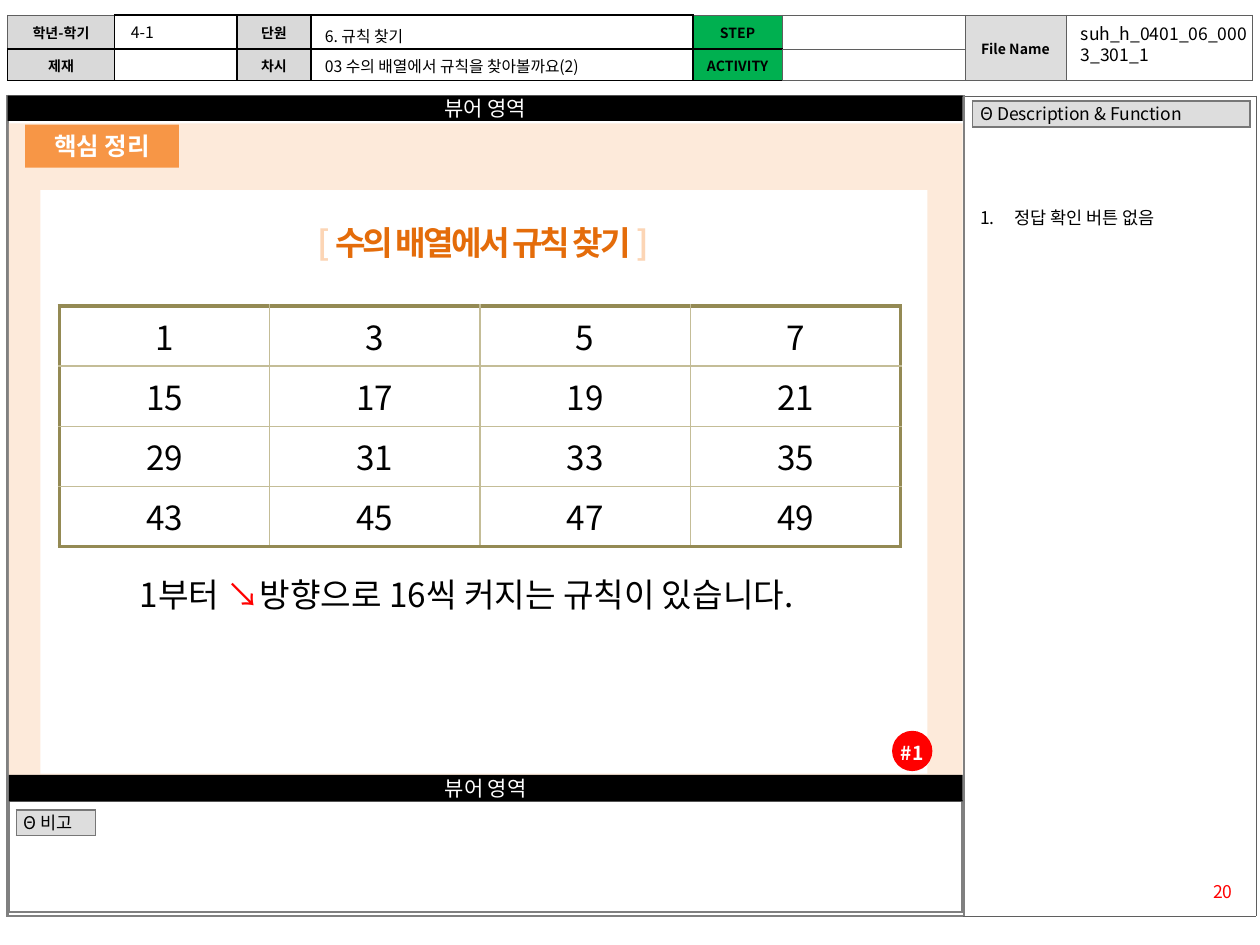
from dataclasses import dataclass
from typing import Callable, NamedTuple, Optional

from lxml.etree import SubElement
from pptx import Presentation
from pptx.dml.color import RGBColor
from pptx.enum.shapes import MSO_SHAPE as Preset
from pptx.enum.text import MSO_ANCHOR as Anchor, MSO_AUTO_SIZE as AutoSize, PP_ALIGN as Align
from pptx.oxml.ns import qn
from pptx.util import Inches, Pt

FONT = "Noto Sans CJK KR"
BLACK, WHITE, RED = "000000", "FFFFFF", "FF0000"
LABEL, PANEL, GREEN = "D9D9D9", "DDDDDD", "00B050"

# The slide is a grid of 100 columns by 75 rows
deck = Presentation()
deck.slide_width, deck.slide_height = Inches(10), Inches(7.5)
UNIT = deck.slide_width / 100


class Box(NamedTuple):
    col: float
    row: float
    cols: float
    rows: float

    def lengths(self) -> list[int]:
        return [span(value) for value in self]


class Edge(NamedTuple):
    color: str
    width: float


class Style(NamedTuple):
    size: float
    color: str = BLACK
    bold: bool = False
    align: Align = Align.LEFT
    line_spacing: Optional[float] = None
    tracking: float = 0


class Part(NamedTuple):
    text: str
    color: Optional[str] = None


@dataclass
class Grid:
    box: Box
    widths: list[float]
    heights: list[float]
    edges: Callable[[int, int], list[Edge]]  # left, right, top, bottom
    style: Style = Style(8)
    texts: tuple = ()
    fills: Callable[[int, int], Optional[str]] = lambda row, col: None
    margins: tuple = (1, 0.3)
    merges: tuple = ()


def span(units: float) -> int:
    return round(units * UNIT)


def rgb(color: str) -> RGBColor:
    return RGBColor.from_string(color)


def write(paragraph, parts: list[Part], style: Style) -> None:
    paragraph.alignment = style.align
    if style.line_spacing:
        paragraph.line_spacing = style.line_spacing
    font = paragraph.font
    font.size, font.bold, font.name = Pt(style.size), style.bold, FONT
    font.color.rgb = rgb(style.color)
    defaults = paragraph._p.pPr.find(qn("a:defRPr"))
    SubElement(defaults, qn("a:ea"), typeface=FONT)
    if style.tracking:
        defaults.set("spc", str(round(style.tracking * 100)))
    for part in parts:
        run = paragraph.add_run()
        run.text = part.text
        if part.color:
            run.font.color.rgb = rgb(part.color)


def add_text(box: Box, parts: list[Part], style: Style, number_indent: float = 0) -> None:
    frame = slide.shapes.add_textbox(*box.lengths()).text_frame
    frame.word_wrap = True
    paragraph = frame.paragraphs[0]
    if number_indent:
        properties = paragraph._p.get_or_add_pPr()
        properties.set("marL", str(span(number_indent)))
        properties.set("indent", str(-span(number_indent)))
        SubElement(properties, qn("a:buFont"), typeface=FONT)
        SubElement(properties, qn("a:buAutoNum"), type="arabicPeriod")
    write(paragraph, parts, style)


def add_block(box: Box, fill: str, text: str = "", style: Style = Style(12),
              preset: Preset = Preset.RECTANGLE) -> None:
    block = slide.shapes.add_shape(preset, *box.lengths())
    block.shadow.inherit = False
    block.fill.solid()
    block.fill.fore_color.rgb = rgb(fill)
    block.line.fill.background()
    if text:
        frame = block.text_frame
        frame.margin_left = frame.margin_right = frame.margin_top = frame.margin_bottom = 0
        frame.vertical_anchor = Anchor.MIDDLE
        write(frame.paragraphs[0], [Part(text)], style)


def add_edges(cell, edges: list[Edge]) -> None:
    properties = cell._tc.get_or_add_tcPr()
    for side, edge in zip("LRTB", edges):
        line = SubElement(properties, qn(f"a:ln{side}"), w=str(Pt(edge.width)))
        SubElement(SubElement(line, qn("a:solidFill")), qn("a:srgbClr"), val=edge.color)


def add_grid(grid: Grid) -> None:
    table = slide.shapes.add_table(len(grid.heights), len(grid.widths), *grid.box.lengths()).table
    table.first_row = table.horz_banding = False
    for column, width in zip(table.columns, grid.widths):
        column.width = span(width)
    for row, height in zip(table.rows, grid.heights):
        row.height = span(height)
    for r in range(len(grid.heights)):
        for c in range(len(grid.widths)):
            cell = table.cell(r, c)
            add_edges(cell, grid.edges(r, c))
            fill = grid.fills(r, c)
            if fill:
                cell.fill.solid()
                cell.fill.fore_color.rgb = rgb(fill)
            else:
                cell.fill.background()
            cell.margin_left = cell.margin_right = span(grid.margins[0])
            cell.margin_top = cell.margin_bottom = span(grid.margins[1])
            cell.vertical_anchor = Anchor.MIDDLE
            text = grid.texts[r][c] if grid.texts else ""
            write(cell.text_frame.paragraphs[0], [Part(text)] if text else [], grid.style)
    for start, end in merges_of(table, grid):
        start.merge(end)


def merges_of(table, grid: Grid) -> list:
    return [(table.cell(*start), table.cell(*end)) for start, end in grid.merges]


def add_panel_label(box: Box, text: str) -> None:
    add_grid(Grid(box, [box.cols], [box.rows], lambda r, c: [Edge("777777", 1)] * 4,
                  Style(10, line_spacing=0.9), ((text,),), lambda r, c: PANEL, (0.6, 0.1)))


def header_edges(row: int, col: int) -> list[Edge]:
    black, gray = Edge(BLACK, 1), Edge("5F5F5F", 0.25)
    if col > 4 or (row, col) == (0, 0):
        return [gray] * 4
    return [black, gray if col == 4 else black, gray if col == 4 else black, black]


def number_edges(row: int, col: int) -> list[Edge]:
    outer, inner = Edge("948A54", 2.25), Edge("C4BD97", 1)
    return [outer if on_rim else inner for on_rim in (col == 0, col == 3, row == 0, row == 3)]


slide = deck.slides.add_slide(deck.slide_layouts[5])

# Page frame and lesson header
add_grid(Grid(Box(0.6, 7.6, 99.1, 65.1), [75.9, 23.2], [65.1],
              lambda r, c: [Edge("5F5F5F", 0.25) if c else Edge("808080", 1.5)] * 4))
add_grid(Grid(
    Box(0.6, 1.2, 98.9, 5.2), [8.5, 9.7, 5.9, 30.3, 7.1, 14.5, 8, 14.8], [2.7, 2.5],
    header_edges, Style(8, bold=True, align=Align.CENTER),
    (("학년-학기", "", "단원", "", "STEP", "", "File Name", ""),
     ("제재", "", "차시", "", "ACTIVITY", "", "", "")),
    lambda r, c: {0: LABEL, 2: LABEL, 4: GREEN, 6: PANEL}.get(c),
    merges=(((0, 6), (1, 6)), ((0, 7), (1, 7)))))

# Remarks panel and page number
add_grid(Grid(Box(0.7, 63.6, 75.7, 8.8), [75.7], [8.8], lambda r, c: [Edge("808080", 1.5)] * 4))
add_panel_label(Box(1.3, 64.3, 6.3, 2), "Θ 비고")
add_text(Box(92.1, 69.4, 6.7, 2.7), [Part("20")], Style(10, RED, align=Align.RIGHT))

# Viewer area between its two bars
add_block(Box(0.7, 9.8, 75.7, 51.7), "FDEADA")
add_block(Box(3.2, 15.1, 70.4, 46.3), WHITE)
for bar in (Box(0.6, 7.6, 75.8, 2), Box(0.7, 61.5, 75.7, 2.1)):
    add_block(bar, BLACK, "뷰어 영역", Style(12, WHITE, align=Align.CENTER))

# Description panel
add_panel_label(Box(77.2, 8, 22, 2.1), "Θ Description & Function")
add_text(Box(76.8, 15.9, 23.2, 3), [Part("정답 확인 버튼 없음")], Style(10), number_indent=2.7)

# Section tag and title
add_block(Box(2, 9.9, 12.2, 3.4), "F79646", "핵심 정리",
          Style(14, WHITE, bold=True, align=Align.CENTER))
title = slide.shapes.title
title.left, title.top, title.width, title.height = Box(4.3, 17.1, 68.1, 4.2).lengths()
title.text_frame.auto_size = AutoSize.NONE
title.text_frame.vertical_anchor = Anchor.MIDDLE
write(title.text_frame.paragraphs[0],
      [Part("[ ", "FCD5B5"), Part("수의 배열에서 규칙 찾기 ", "E46C0A"), Part("]", "FCD5B5")],
      Style(19, "E46C0A", bold=True, align=Align.CENTER, tracking=-1.5))
slide.shapes.element.append(title.element)  # in front of the white area

# Answer marker
add_block(Box(70.8, 58, 3.2, 3.2), RED, "#1",
          Style(11, WHITE, bold=True, align=Align.CENTER, line_spacing=1.2), Preset.OVAL)

# Header entries
add_text(Box(84.8, 1.3, 15.2, 4.4), [Part("suh_h_0401_06_0003_301_1")],
         Style(10, align=Align.JUSTIFY))
for box, entry in ((Box(9.4, 1.3, 9.4, 2.4), "4-1"),
                   (Box(24.8, 1.6, 30.3, 1.6), "6. 규칙 찾기"),
                   (Box(24.8, 4, 29.9, 2.4), "03 수의 배열에서 규칙을 찾아볼까요(2)")):
    add_text(box, [Part(entry)], Style(9))

# Number array: steps of 2 across and 14 down
numbers = [[str(1 + 14 * r + 2 * c) for c in range(4)] for r in range(4)]
add_grid(Grid(Box(4.7, 24.3, 66.8, 19.1), [16.7] * 4, [4.77] * 4, number_edges,
              Style(19, align=Align.CENTER), numbers, margins=(1, 0.4)))
add_text(Box(10.1, 45.1, 66.8, 4.2),
         [Part("1부터 "), Part("↘", RED), Part("방향으로 16씩 커지는 규칙이 있습니다.")],
         Style(19, align=Align.JUSTIFY))

deck.save("out.pptx")
